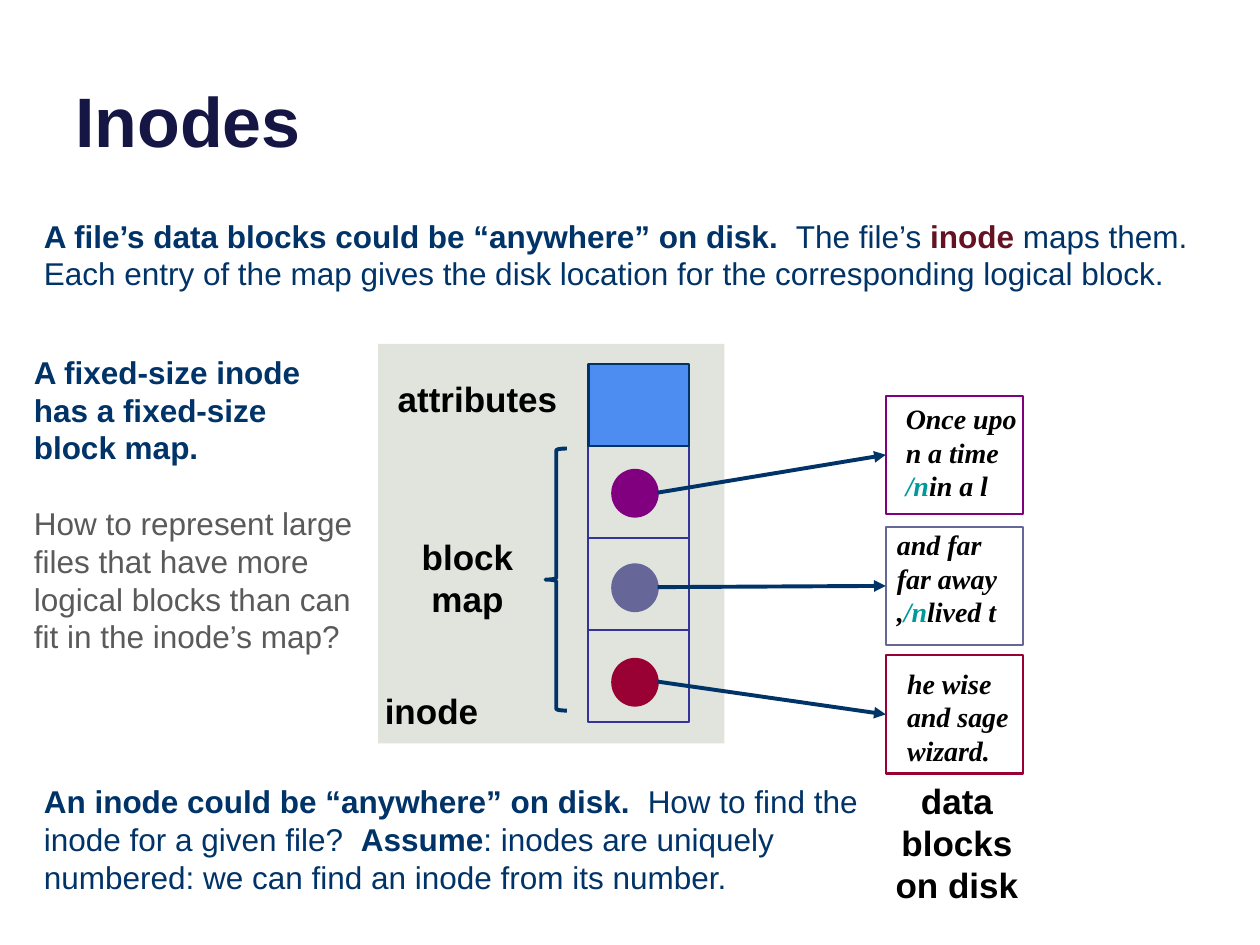
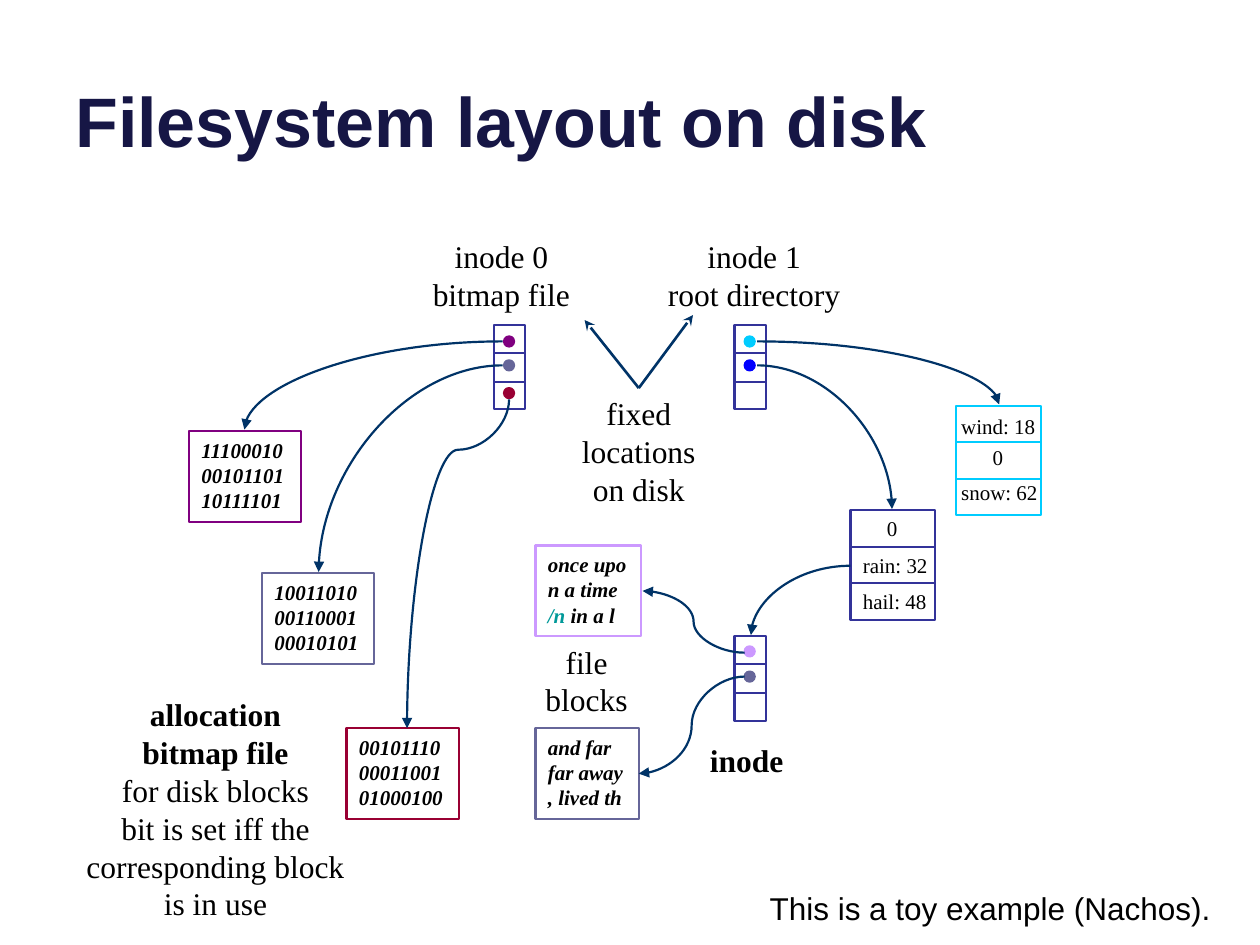
from lxml import etree
from pptx import Presentation
from pptx import util as u
from pptx.dml.color import RGBColor
from pptx.enum import shapes, text
from pptx.oxml.ns import qn

PX = 9144  # EMU in one px, 100 px to the inch
NAVY, BLACK, WHITE = "003367", "000000", "FFFFFF"
PURPLE, SLATE, RED, INDIGO = "800080", "666699", "990033", "333399"
CYAN, BLUE, LILAC, TEAL = "00CCFF", "0000FF", "CC99FF", "009999"
SHADES = [PURPLE, SLATE, RED]

TITLE = {"name": "Arial", "size": 40, "bold": True, "color": "161645"}
BODY = {"name": "Arial", "size": 18, "bold": False, "color": NAVY}
LABEL = {"name": "Arial", "size": 20, "bold": True, "color": BLACK}
SERIF = {"name": "Times New Roman", "size": 18, "bold": False, "color": BLACK}
ENTRY = {**SERIF, "size": 12}
CODE = {**ENTRY, "bold": True, "italic": True}
BIG = {**CODE, "size": 16}

BOLD = {"bold": True}
MARK = {"color": TEAL}
SHAPE = shapes.MSO_SHAPE
LEFT, MID = text.PP_ALIGN.LEFT, text.PP_ALIGN.CENTER


def tint(code):
    return RGBColor.from_string(code)


class Deck:
    """Holds the presentation, its style and the current slide."""

    def __init__(self):
        self.prs = Presentation()
        self.prs.slide_width, self.prs.slide_height = 1000 * PX, 750 * PX

    def page(self, title):
        self.slide = self.prs.slides.add_slide(self.prs.slide_layouts[6])
        head = self.note(50, -37, 900, 170, [title], TITLE, grow=False)
        head.text_frame.vertical_anchor = text.MSO_ANCHOR.BOTTOM

    def letter(self, shape, paras, style, align=LEFT, wrap=True, grow=True):
        """Fill a shape; a paragraph is a string or a list of strings and (string, changes)."""
        frame = shape.text_frame
        frame.word_wrap = wrap
        frame.vertical_anchor = text.MSO_ANCHOR.TOP
        if grow:
            frame.auto_size = text.MSO_AUTO_SIZE.SHAPE_TO_FIT_TEXT
        for i, runs in enumerate(paras):
            para = frame.add_paragraph() if i else frame.paragraphs[0]
            para.alignment = align
            for part in [runs] if isinstance(runs, str) else runs:
                words, change = (part, {}) if isinstance(part, str) else part
                run = para.add_run()
                run.text = words
                for key, val in {**style, **change}.items():
                    if key == "color":
                        run.font.color.rgb = tint(val)
                    else:
                        setattr(run.font, key, u.Pt(val) if key == "size" else val)
        return shape

    def note(self, x, y, w, h, paras, style, **opts):
        box = self.slide.shapes.add_textbox(x * PX, y * PX, w * PX, h * PX)
        return self.letter(box, paras, style, **opts)

    def shape(self, kind, x, y, w, h, fill=None, line=None, width=1.25):
        item = self.slide.shapes.add_shape(kind, x * PX, y * PX, w * PX, h * PX)
        item.shadow.inherit = False
        for part, code in ((item.fill, fill), (item.line.fill, line)):
            if code:
                part.solid()
                part.fore_color.rgb = tint(code)
            else:
                part.background()
        if line:
            item.line.width = u.Pt(width)
        return item

    def dot(self, x, y, w, h, code):
        self.shape(SHAPE.OVAL, x, y, w, h, code, code)

    def link(self, x1, y1, x2, y2, code=NAVY, width=1.25, tip=None,
             kind=shapes.MSO_CONNECTOR.STRAIGHT):
        item = self.slide.shapes.add_connector(kind, x1 * PX, y1 * PX, x2 * PX, y2 * PX)
        item.line.color.rgb = tint(code)
        item.line.width = u.Pt(width)
        props = item._element.spPr
        if tip:
            etree.SubElement(props.find(qn("a:ln")), qn("a:tailEnd"), type=tip)
        etree.SubElement(props, qn("a:effectLst"))
        return props

    def curve(self, x1, y1, x2, y2, bends=2, turn=0, adj=None):
        """Arrow that leaves level; two bends make an arc, three an S, turn is in degrees."""
        props = self.link(x1, y1, x2, y2, tip="triangle", kind=shapes.MSO_CONNECTOR.CURVE)
        geom = props.find(qn("a:prstGeom"))
        geom.set("prst", f"curvedConnector{bends}")
        if turn:
            props.find(qn("a:xfrm")).set("rot", str(turn * 60000))
        if adj:
            etree.SubElement(geom.find(qn("a:avLst")), qn("a:gd"),
                             name="adj1", fmla=f"val {adj}")

    def stack(self, x, y, w, h, code=INDIGO, fill=WHITE):
        """Box cut into three equal rows."""
        self.shape(SHAPE.RECTANGLE, x, y, w, h, fill, code)
        for i in (1, 2):
            row = y + round(h * i / 3)
            self.link(x, row, x + w, row, code)

    def block(self, x, y, w, code, lines):
        box = self.shape(SHAPE.RECTANGLE, x, y, w, 72, line=code)
        self.letter(box, lines, CODE, wrap=False)

    def table(self, x, y, code, cells):
        """Directory block with an entry per row, each placed by its own left, top and width."""
        self.stack(x, y, 67, 87, code)
        for name, left, top, wide in cells:
            self.note(left, top, wide, 30, [name], ENTRY, wrap=False)

    def inode(self, x, y, dots):
        self.stack(x, y, 25, 67)
        for top, code in dots:
            self.dot(x + 8, top, 8, 8, code)


def inodes(deck):
    deck.page("Inodes")
    deck.shape(SHAPE.RECTANGLE, 300, 273, 275, 317, "E0E4DC")
    labels = [
        (275, 542, 135, 44, "inode"),
        (317, 420, 108, 77, "block map"),
        (300, 295, 158, 44, "attributes"),
        (692, 614, 135, 111, "data blocks on disk"),
    ]
    for *place, words in labels:
        deck.note(*place, [words], LABEL, align=MID)

    deck.note(25, 167, 950, 71, [[
        ("A file’s data blocks could be “anywhere” on disk.  ", BOLD), "The file’s ",
        ("inode ", {"bold": True, "color": "651222"}),
        "maps them.  Each entry of the map gives the disk location for the "
        "corresponding logical block."]], BODY)
    side = deck.note(17, 275, 275, 252, [
        [("A fixed-size inode has a fixed-size block map.", BOLD)],
        [("How to represent large files that have more logical blocks than can "
          "fit in the inode’s map?", {"color": "5A5A5A"})]], BODY)
    side.text_frame.paragraphs[1].space_before = u.Pt(21.6)
    deck.note(25, 616, 675, 101, [[
        ("An inode could be “anywhere” on disk.  ", BOLD),
        "How to find the inode for a given file?  ", ("Assume", BOLD),
        ": inodes are uniquely numbered: we can find an inode from its number."]], BODY)

    deck.stack(467, 354, 80, 219, fill=None)
    deck.shape(SHAPE.RECTANGLE, 467, 289, 80, 65, "4D8CF1", NAVY, 1.5)
    brace = deck.shape(SHAPE.LEFT_BRACE, 433, 356, 17, 208, line=NAVY, width=2.25)
    brace.adjustments[0] = 0.08

    rows = [
        (314, 361, 709, 314, ["Once upo", "n a time", [("/n", MARK), "in a l"]]),
        (418, 465, 702, 414, ["and far", "far away", [",", ("/n", MARK), "lived t"]]),
        (520, 567, 710, 524, ["he wise", "and sage", "wizard."]),
    ]
    for i, (top, end, left, high, lines) in enumerate(rows):
        code, dot = SHADES[i], 373 + 75 * i
        deck.dot(486, dot, 36, 37, code)
        deck.shape(SHAPE.RECTANGLE, 703, top, 109, 94, WHITE, code)
        deck.link(522, dot + 18, 703, end, width=2.25, tip="triangle")
        deck.note(left, high, 131, 90, lines, BIG)


def layout(deck):
    deck.page("Filesystem layout on disk")
    deck.table(675, 405, INDIGO, [("0", 694, 404, 28), ("rain: 32", 675, 434, 72),
                                  ("hail: 48", 675, 462, 71)])
    deck.table(759, 322, CYAN, [("wind: 18", 753, 323, 79), ("0", 778, 348, 28),
                                ("snow: 62", 753, 376, 81)])
    deck.inode(392, 258, zip((267, 286, 308), SHADES))
    deck.inode(583, 258, [(267, CYAN), (286, BLUE)])
    deck.inode(583, 505, [(513, LILAC), (533, SLATE)])

    blocks = [
        (150, 342, 89, PURPLE, ["11100010", "00101101", "10111101"]),
        (208, 455, 89, SLATE, ["10011010", "00110001", "00010101"]),
        (275, 578, 89, RED, ["00101110", "00011001", "01000100"]),
        (425, 433, 84, LILAC, ["once upo", "n a time", [("/n", MARK), " in a l"]]),
        (425, 578, 82, SLATE, ["and far", "far away", ", lived th"]),
    ]
    for item in blocks:
        deck.block(*item)

    arcs = [(399, 271, 194, 341), (399, 290, 253, 454), (601, 271, 793, 321),
            (601, 290, 708, 404), (675, 449, 596, 504)]
    for ends in arcs:
        deck.curve(*ends)
    for ends in [(591, 518, 510, 469), (591, 537, 507, 614)]:
        deck.curve(*ends, bends=3)
    deck.curve(233, 407, 494, 488, bends=3, turn=90, adj=15300)
    for x, y in [(464, 254), (550, 250)]:
        deck.link(507, 308, x, y, width=1.5, tip="stealth")

    for x, w, lines in [(333, 130, ["inode 0", "bitmap file"]),
                        (519, 159, ["inode 1", "root directory"])]:
        deck.note(x, 183, w, 71, lines, SERIF, align=MID, wrap=False)
    labels = [
        (439, 308, 136, 101, ["fixed locations on disk"]),
        (418, 505, 95, 71, ["file blocks"]),
        (525, 583, 135, 40, [[("inode", BOLD)]]),
        (50, 547, 242, 192, [
            [("allocation", BOLD)], [("bitmap file", BOLD)], "for disk blocks",
            "bit is set iff the corresponding block is in use"]),
    ]
    for *place, lines in labels:
        deck.note(*place, lines, SERIF, align=MID)
    deck.note(601, 701, 374, 40, ["This is a toy example (Nachos)."],
              {**BODY, "color": BLACK}, wrap=False)


def main():
    deck = Deck()
    inodes(deck)
    layout(deck)
    deck.prs.save("out.pptx")


if __name__ == "__main__":
    main()
